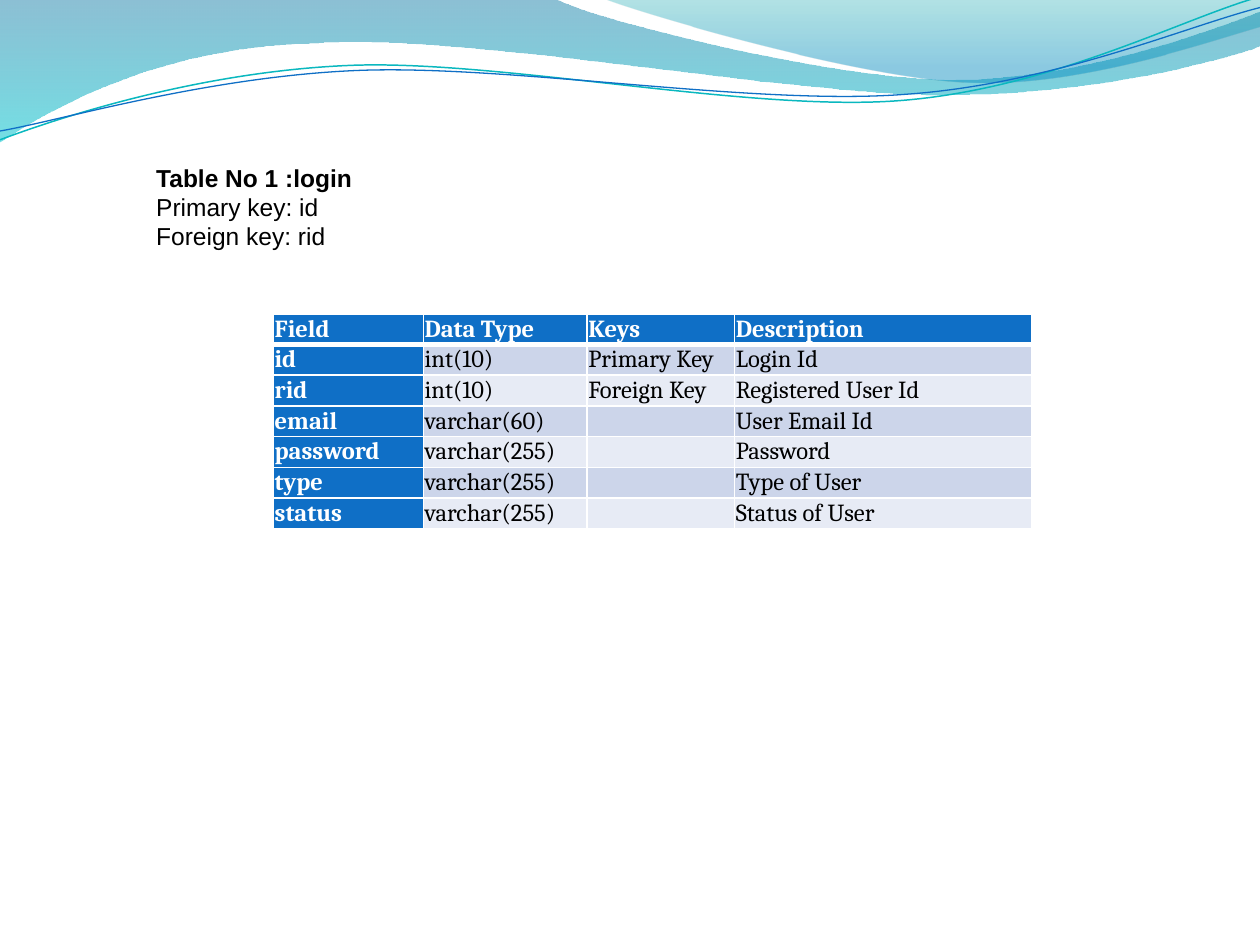
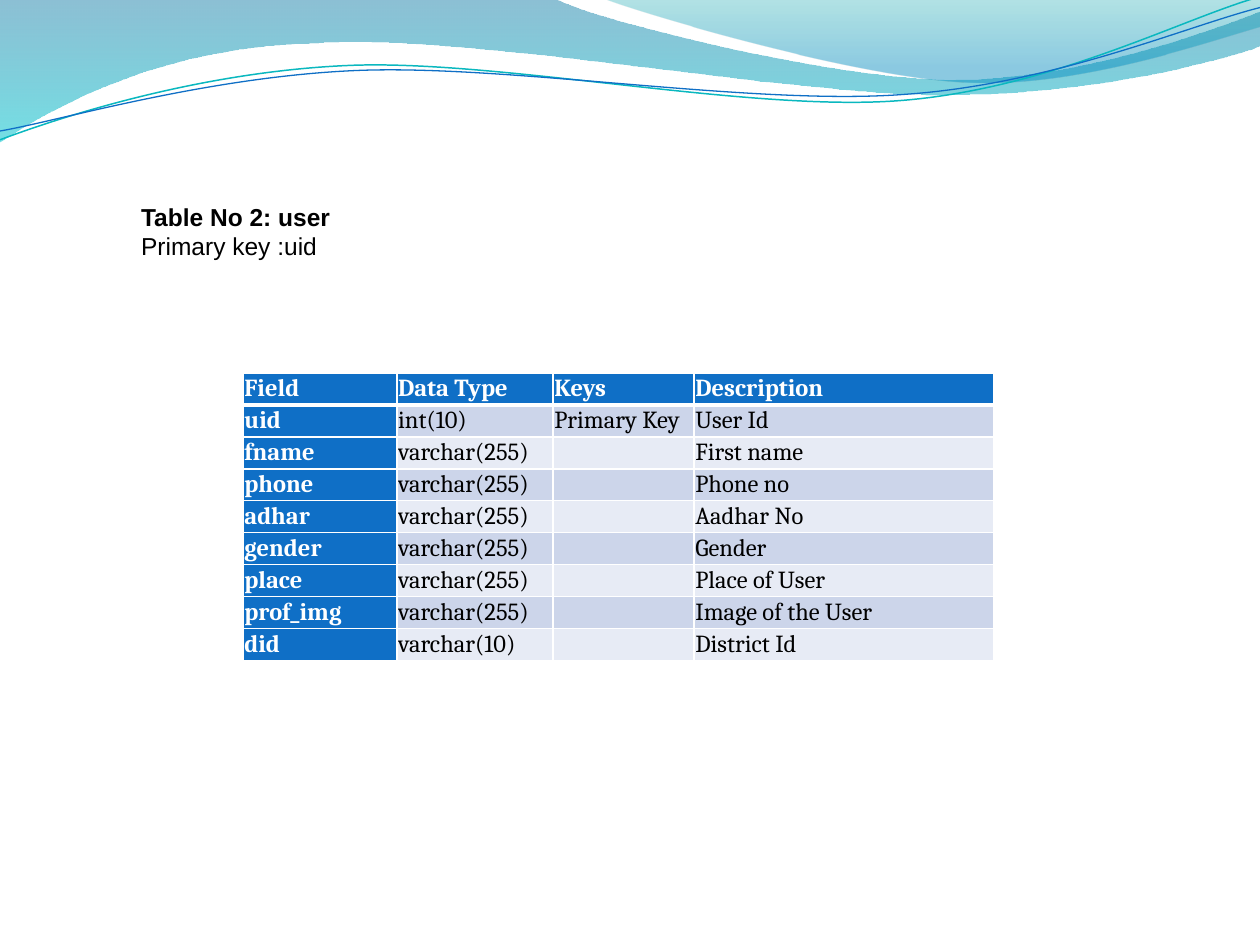
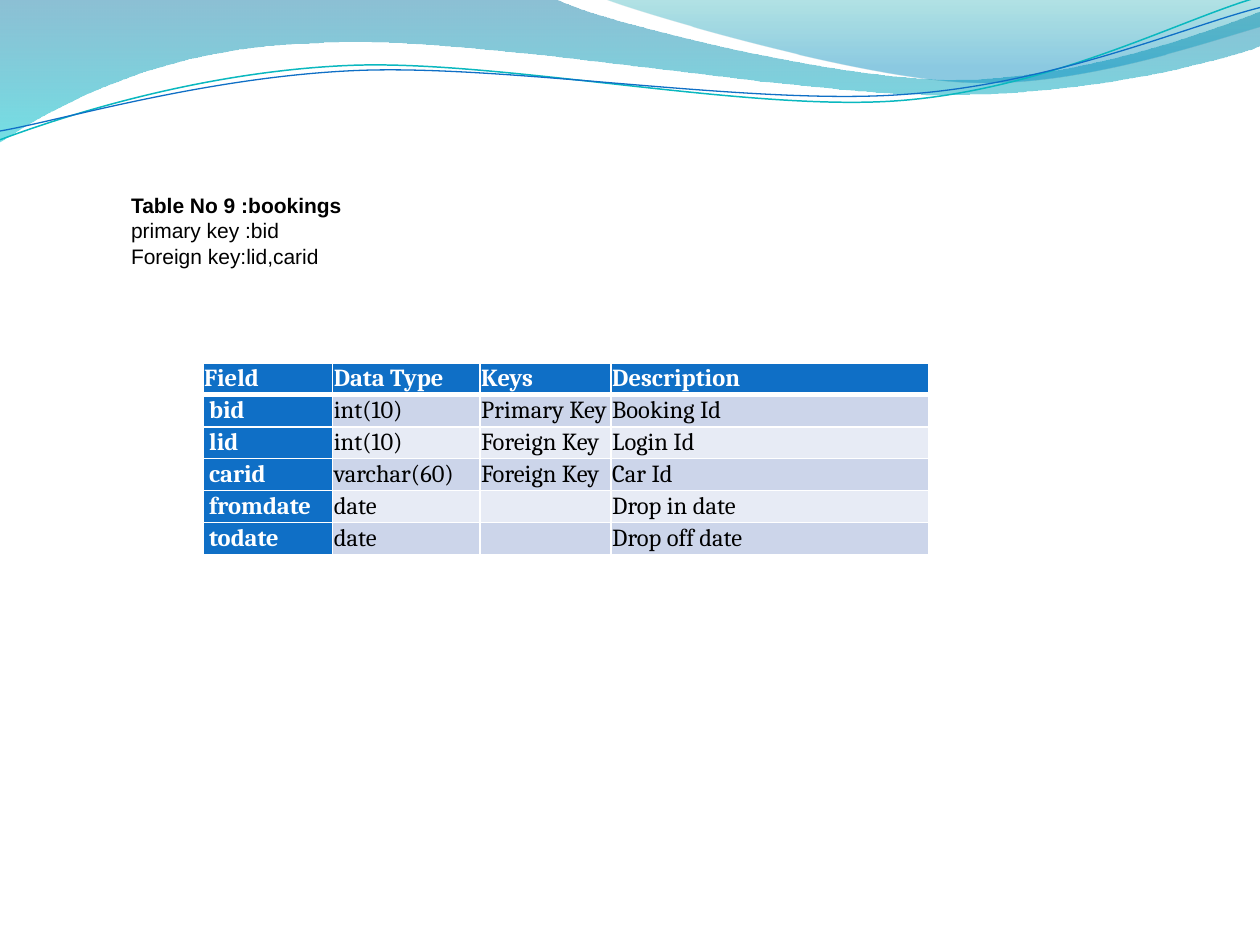
import pptx
import pptx.util
import pptx.dml.color
import pptx.enum.text
import pptx.oxml
import pptx.oxml.ns
import lxml.etree

Inches = pptx.util.Inches
Pt = pptx.util.Pt
RGBColor = pptx.dml.color.RGBColor
qn = pptx.oxml.ns.qn

BLUE = RGBColor(0x0F, 0x6F, 0xC6)
TEAL = RGBColor(0x0A, 0xB8, 0xBF)
WHITE = RGBColor(0xFF, 0xFF, 0xFF)
BLACK = RGBColor(0x00, 0x00, 0x00)
ODD_ROW = RGBColor(0xCC, 0xD5, 0xEA)
EVEN_ROW = RGBColor(0xE7, 0xEB, 0xF5)
WAVE_TOP = RGBColor(0x00, 0x74, 0xA1)
WAVE_BOTTOM = RGBColor(0x00, 0xC6, 0xCF)
CREST_TOP = RGBColor(0x00, 0xA1, 0xA9)
CREST_BOTTOM = RGBColor(0x00, 0x8B, 0xBF)

HEADING_FONT = "Arial"
TABLE_FONT = "Cambria"
TABLE_SIZE = Pt(14)
ROW_SPACE = Inches(0.25)
MIN_ROW_HEIGHT = Inches(0.16)
CELL_MARGIN = Inches(0.01)
HEADER = ("Field", "Data Type", "Keys", "Description")

# Band outlines in inches: a pair is a line's end, a sextet a Bezier curve.
# Gradient stops are (position, colour, opacity in percent).
BANDS = [
    {"outline": [(0, 0), (4.4, -0.01), (4.76, 0.17, 6.64, 0.63, 7.58, 0.63),
                 (8.53, 0.63, 9.58, 0.26, 10, 0.09), (10.01, 0.36),
                 (9.83, 0.44, 8.7, 0.76, 7.46, 0.75),
                 (6.22, 0.75, 3.82, 0.28, 2.57, 0.34),
                 (1.29, 0.36, 0.46, 0.83, -0.01, 1.13), (0, 0)],
     "stops": [(0, WAVE_TOP, 45), (1, WAVE_BOTTOM, 55)]},
    {"outline": [(4.79, -0.01), (5.09, 0.11, 6.82, 0.62, 7.69, 0.65),
                 (8.56, 0.69, 9.61, 0.32, 10, 0.21), (10, 0), (4.79, -0.01)],
     "stops": [(0, CREST_TOP, 30), (0.8, CREST_BOTTOM, 45)]},
    {"outline": [(0, 1.11), (0.48, 0.93, 1.58, 0.57, 2.77, 0.52),
                 (3.95, 0.47, 5.93, 0.89, 7.13, 0.8),
                 (8.33, 0.71, 9.38, 0.15, 9.98, -0.02)],
     "line": (TEAL, 0.85)},
    {"outline": [(0, 1.04), (0.47, 0.96, 1.64, 0.61, 2.83, 0.56),
                 (4.03, 0.51, 5.97, 0.84, 7.17, 0.75),
                 (8.36, 0.67, 9.41, 0.21, 10, 0.06)],
     "line": (BLUE, 0.75)},
]

PAGES = [
    {"heading": ["Table No 1 :login", "Primary key: id", "Foreign key: rid"],
     "heading_at": (1.24, 1.29), "heading_size": 14,
     "table_at": (2.17, 2.49), "columns": (1.19, 1.3, 1.17, 2.36),
     "field_margin": 0.01,
     "rows": [("id", "int(10)", "Primary Key", "Login Id"),
              ("rid", "int(10)", "Foreign Key", "Registered User Id"),
              ("email", "varchar(60)", "", "User Email Id"),
              ("password", "varchar(255)", "", "Password"),
              ("type", "varchar(255)", "", "Type of User"),
              ("status", "varchar(255)", "", "Status of User")]},
    {"heading": ["Table No 2: user", "Primary key :uid"],
     "heading_at": (1.12, 1.6), "heading_size": 14,
     "table_at": (1.93, 2.96), "columns": (1.22, 1.24, 1.12, 2.38),
     "field_margin": 0.01,
     "rows": [("uid", "int(10)", "Primary Key", "User Id"),
              ("fname", "varchar(255)", "", "First name"),
              ("phone", "varchar(255)", "", "Phone no"),
              ("adhar", "varchar(255)", "", "Aadhar No"),
              ("gender", "varchar(255)", "", "Gender"),
              ("place", "varchar(255)", "", "Place of User"),
              ("prof_img", "varchar(255)", "", "Image of the User"),
              ("did", "varchar(10)", "", "District Id")]},
    {"heading": ["Table No 9 :bookings", "primary key :bid", "Foreign key:lid,carid"],
     "heading_at": (1.04, 1.53), "heading_size": 12,
     "table_at": (1.61, 2.88), "columns": (1.03, 1.17, 1.04, 2.52),
     "field_margin": 0.05,
     "rows": [("bid", "int(10)", "Primary Key", "Booking Id"),
              ("lid", "int(10)", "Foreign Key", "Login Id"),
              ("carid", "varchar(60)", "Foreign Key", "Car Id"),
              ("fromdate", "date", "", "Drop in date"),
              ("todate", "date", "", "Drop off date")]},
]


def draw_outline(page, outline, closed):
    """Build a freeform through the outline's ends, then bend its curved steps."""
    ends = [(Inches(step[-2]), Inches(step[-1])) for step in outline]
    builder = page.shapes.build_freeform(*ends[0], scale=1.0)
    builder.add_line_segments(ends[1:], close=closed)
    shape = builder.convert_to_shape()
    segments = list(shape._element.spPr.iter(qn("a:lnTo")))
    for segment, step in zip(segments, outline[1:]):
        if len(step) == 6:
            curve = lxml.etree.Element(qn("a:cubicBezTo"))
            for x, y in zip(step[::2], step[1::2]):
                lxml.etree.SubElement(curve, qn("a:pt"), x=str(Inches(x) - shape.left),
                                      y=str(Inches(y) - shape.top))
            segment.getparent().replace(segment, curve)
    return shape


def add_border(cell, side, points):
    """Draw one white border of a cell; call it before the cell is filled."""
    border = lxml.etree.SubElement(cell._tc.get_or_add_tcPr(), qn("a:ln" + side),
                                   w=str(Pt(points)))
    fill = lxml.etree.SubElement(border, qn("a:solidFill"))
    lxml.etree.SubElement(fill, qn("a:srgbClr"), val=str(WHITE))


deck = pptx.Presentation()
deck.slide_width = Inches(10)
deck.slide_height = Inches(7.5)
blank = deck.slide_layouts[6]
pages = [deck.slides.add_slide(blank) for _ in PAGES]

# The wave bands are drawn once and moved to the layout all pages share.
for band in BANDS:
    wave = draw_outline(pages[0], band["outline"], "stops" in band)
    wave.shadow.inherit = False
    if "stops" in band:
        wave.line.fill.background()
        wave.fill.gradient()
        wave.fill.gradient_angle = 270
        for stop, (position, colour, opacity) in zip(wave.fill.gradient_stops, band["stops"]):
            stop.position = position
            stop.color.rgb = colour
        for colour, stop in zip(wave._element.spPr.iter(qn("a:srgbClr")), band["stops"]):
            lxml.etree.SubElement(colour, qn("a:alpha"), val=str(stop[2] * 1000))
    else:
        wave.fill.background()
        wave.line.color.rgb = band["line"][0]
        wave.line.width = Pt(band["line"][1])
    blank.shapes._spTree.append(wave._element)

for page, content in zip(pages, PAGES):
    rows = [HEADER] + content["rows"]
    left, top = content["table_at"]
    frame = page.shapes.add_table(len(rows), len(HEADER), Inches(left), Inches(top),
                                  Inches(sum(content["columns"])), ROW_SPACE * len(rows))
    table = frame.table
    for column, width in zip(table.columns, content["columns"]):
        column.width = Inches(width)
    for row_index, row in enumerate(rows):
        # Rows grow from this minimum to fit their text.
        table.rows[row_index].height = MIN_ROW_HEIGHT
        for column_index, text in enumerate(row):
            cell = table.cell(row_index, column_index)
            is_header = row_index == 0
            is_label = is_header or column_index == 0
            cell.margin_left = cell.margin_right = CELL_MARGIN
            cell.margin_top = cell.margin_bottom = CELL_MARGIN
            if column_index == 0 and not is_header:
                cell.margin_left = Inches(content["field_margin"])
            cell.vertical_anchor = pptx.enum.text.MSO_ANCHOR.MIDDLE
            for side in "LRTB":
                thick = (is_header and side == "B") or (row_index == 1 and side == "T")
                add_border(cell, side, 3 if thick else 1)
            cell.fill.solid()
            band_colour = ODD_ROW if row_index % 2 else EVEN_ROW
            cell.fill.fore_color.rgb = BLUE if is_label else band_colour
            para = cell.text_frame.paragraphs[0]
            para.font.name = TABLE_FONT
            para.font.size = TABLE_SIZE
            para.font.bold = is_label
            para.font.color.rgb = WHITE if is_label else BLACK
            if text:
                para.text = text
            else:
                # An empty cell takes its line height from the end mark.
                lxml.etree.SubElement(para._p, qn("a:endParaRPr"),
                                      sz=str(int(TABLE_SIZE.pt * 100)))

    left, top = content["heading_at"]
    box = page.shapes.add_textbox(Inches(left), Inches(top), Inches(4), Inches(0.75))
    body = box.text_frame
    body.word_wrap = True
    body.margin_left = body.margin_right = body.margin_top = body.margin_bottom = 0
    for index, text in enumerate(content["heading"]):
        para = body.add_paragraph() if index else body.paragraphs[0]
        para.text = text
        para.font.name = HEADING_FONT
        para.font.size = Pt(content["heading_size"])
        para.font.bold = index == 0
        para.font.color.rgb = BLACK

deck.save("out.pptx")
